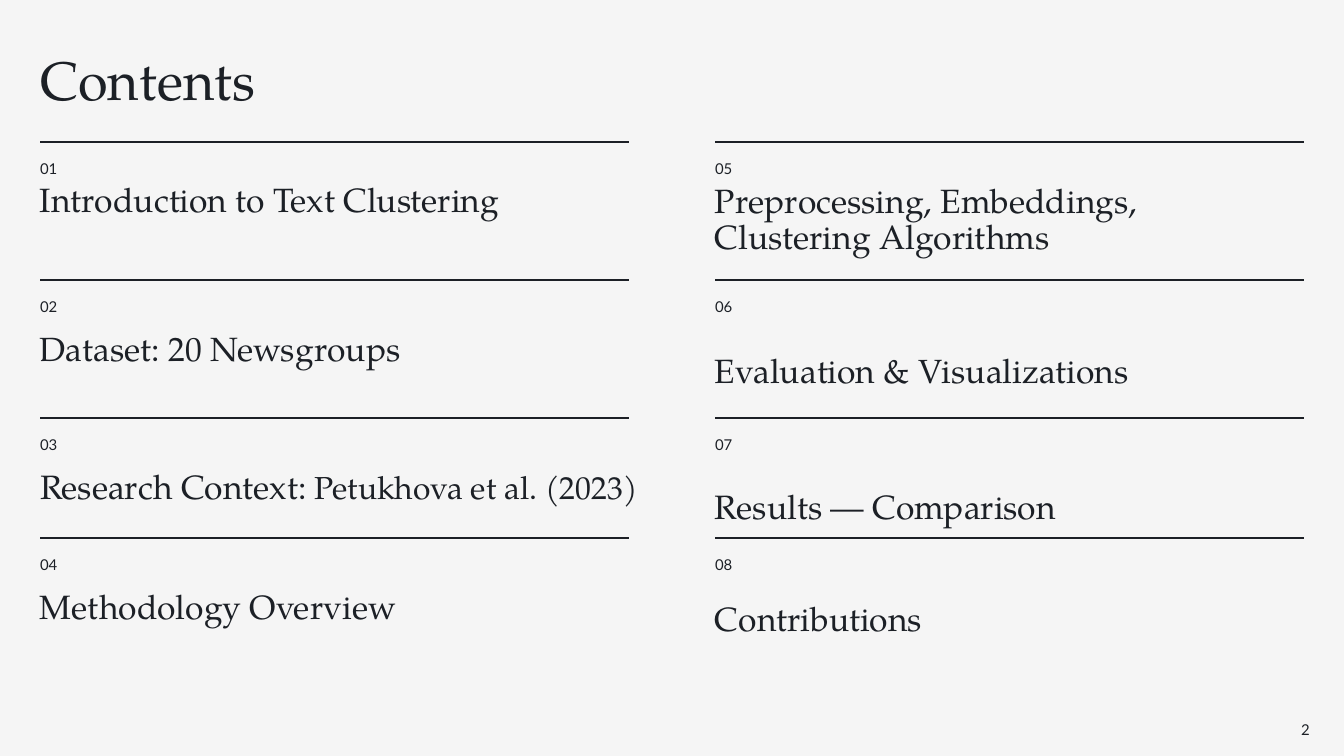
from pptx import Presentation
from pptx.dml.color import RGBColor
from pptx.enum.shapes import MSO_CONNECTOR
from pptx.enum.text import MSO_ANCHOR, MSO_AUTO_SIZE, PP_ALIGN
from pptx.oxml.ns import qn
from pptx.util import Pt
from lxml import etree

STRAIGHT = MSO_CONNECTOR.STRAIGHT
TOP = MSO_ANCHOR.TOP
GROW = MSO_AUTO_SIZE.SHAPE_TO_FIT_TEXT
FIXED = MSO_AUTO_SIZE.NONE
LEFT, RIGHT = PP_ALIGN.LEFT, PP_ALIGN.RIGHT
INK = RGBColor(0x1C, 0x20, 0x26)
PAPER = RGBColor(0xF5, 0xF5, 0xF5)
SERIF, SANS = "TeX Gyre Pagella", "Lato"
SCALE = 914400 / 134.4


def px(n):
    return round(n * SCALE)


def write(shape, *runs, size=18, font=SERIF, space=0.9, align=LEFT, inset=0, fit=GROW):
    """Fill a shape with one paragraph; a run is a text or a (text, size) pair."""
    frame = shape.text_frame
    frame.word_wrap = True
    frame.auto_size = fit
    frame.vertical_anchor = TOP
    frame.margin_left = frame.margin_right = px(inset)
    frame.margin_top = frame.margin_bottom = px(inset)
    para = frame.paragraphs[0]
    para.alignment = align
    para.line_spacing = space
    for item in runs:
        text, points = item if isinstance(item, tuple) else (item, size)
        run = para.add_run()
        run.text = text
        run.font.size = Pt(points)
        run.font.name = font
        run.font.color.rgb = INK


class Page:
    def __init__(self, deck):
        self.slide = deck.slides.add_slide(deck.slide_layouts[5])
        fill = self.slide.background.fill
        fill.solid()
        fill.fore_color.rgb = PAPER

    def title(self, text, x, y, w, h, **style):
        shape = self.slide.shapes.title
        shape.left, shape.top, shape.width, shape.height = map(px, (x, y, w, h))
        write(shape, text, **style)

    def text(self, x, y, w, h, *runs, **style):
        box = self.slide.shapes.add_textbox(px(x), px(y), px(w), px(h))
        write(box, *runs, **style)

    def rule(self, x, y, w):
        line = self.slide.shapes.add_connector(STRAIGHT, px(x + w), px(y), px(x), px(y))
        line.line.color.rgb = INK
        line.line.width = Pt(0.75)
        etree.SubElement(line._element.spPr, qn("a:effectLst"))


COLS = (40, 715)
ROWS = (142, 280, 418, 538)
# Runs, gap below the rule, width, height, line spacing
TOPICS = (
    (["Introduction to Text Clustering"], 42, 492, 36, 0.9),
    (["Dataset: 20 Newsgroups"], 42, 492, 40, 1.15),
    (["Research Context: ", ("Petukhova et al. (2023)", 17)], 42, 602, 106, 1.15),
    (["Methodology Overview"], 42, 492, 40, 1.15),
    (["Preprocessing, Embeddings, Clustering Algorithms"], 42, 492, 146, 0.9),
    (["Evaluation & Visualizations"], 75, 492, 36, 0.9),
    (["Results — Comparison"], 73, 492, 36, 0.9),
    (["Contributions"], 65, 492, 36, 0.9),
)


def main():
    deck = Presentation()
    deck.slide_width, deck.slide_height = px(1344), px(756)
    page = Page(deck)
    page.title("Contents", 40, 54, 1263, 59, size=29)

    # Topics, down the left column and then the right
    for i, (runs, gap, wide, high, space) in enumerate(TOPICS):
        col, row = divmod(i, len(ROWS))
        x, y = COLS[col], ROWS[row]
        page.rule(x, y, 589)
        page.text(x, y + 15, 266, 20, f"{i + 1:02}", size=8, font=SANS,
                  space=1.15, fit=FIXED)
        page.text(x, y + gap, wide, high, *runs, space=space)

    # Page number
    page.text(1273, 708, 50, 27, "2", size=8, font=SANS, space=1.0,
              align=RIGHT, inset=13, fit=FIXED)
    deck.save("out.pptx")


if __name__ == "__main__":
    main()
